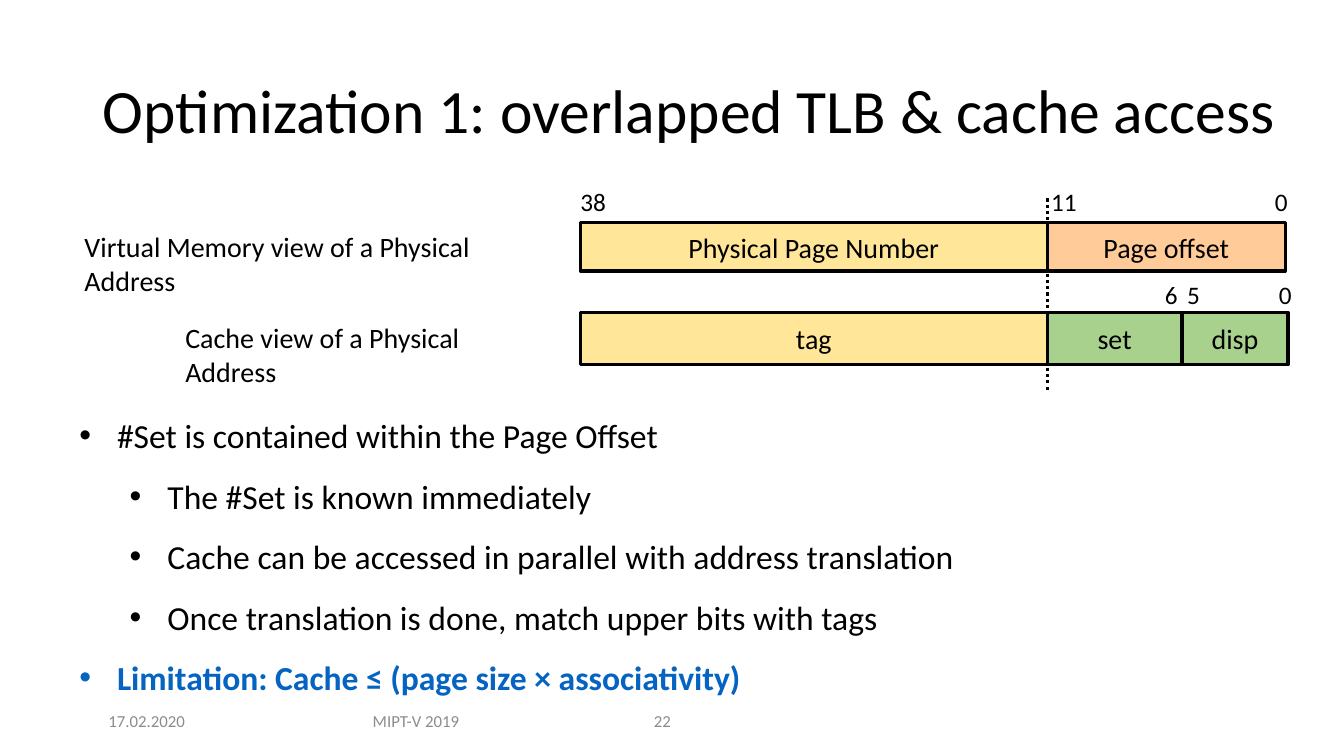
"""Build the slide on overlapped TLB and cache access."""
from dataclasses import dataclass

from lxml import etree
from pptx import Presentation
from pptx import util as u
from pptx.dml.color import RGBColor
from pptx.enum import dml, shapes, text
from pptx.oxml import ns

BLACK = RGBColor(0x00, 0x00, 0x00)
GREY = RGBColor(0x8C, 0x8C, 0x8C)
BLUE = RGBColor(0x05, 0x63, 0xC1)
YELLOW = RGBColor(0xFF, 0xE6, 0x99)
ORANGE = RGBColor(0xFF, 0xCC, 0x99)
GREEN = RGBColor(0xA9, 0xD1, 0x8E)

FONT = "Calibri"
LEFT = text.PP_ALIGN.LEFT
CENTER = text.PP_ALIGN.CENTER
TOP = text.MSO_ANCHOR.TOP
MIDDLE = text.MSO_ANCHOR.MIDDLE

FIELDS_LEFT = 14.63
PAGE_SPLIT = 26.39
SET_RIGHT = 29.79
DIGIT_WIDTH = 0.33
BIT_HEIGHT = 0.76


@dataclass(frozen=True)
class Field:
    name: str
    left: float
    right: float
    color: RGBColor


@dataclass(frozen=True)
class Bit:
    number: str
    left: float


@dataclass(frozen=True)
class AddressView:
    label: str
    label_left: float
    label_top: float
    label_width: float
    top: float
    height: float
    bits_top: float
    fields: tuple[Field, ...]
    bits: tuple[Bit, ...]


@dataclass(frozen=True)
class Bullet:
    words: str
    level: int = 0
    color: RGBColor = BLACK
    bold: bool = False


@dataclass(frozen=True)
class Footer:
    words: str
    left: float
    width: float
    align: text.PP_ALIGN = CENTER


VIEWS = (
    AddressView(
        "Virtual Memory view of a Physical Address", 1.88, 5.66, 12.5, 5.61, 1.22, 4.7,
        (Field("Page offset", PAGE_SPLIT, 32.39, ORANGE),
         Field("Physical Page Number", FIELDS_LEFT, PAGE_SPLIT, YELLOW)),
        (Bit("38", FIELDS_LEFT), Bit("11", 26.49), Bit("0", 32.13)),
    ),
    AddressView(
        "Cache view of a Physical Address", 4.42, 7.95, 9.75, 7.87, 1.32, 7.04,
        (Field("disp", SET_RIGHT, 32.46, GREEN),
         Field("tag", FIELDS_LEFT, PAGE_SPLIT, YELLOW),
         Field("set", PAGE_SPLIT, SET_RIGHT, GREEN)),
        (Bit("6", 29.36), Bit("5", 29.92), Bit("0", 32.23)),
    ),
)

BULLETS = (
    Bullet("#Set is contained within the Page Offset"),
    Bullet("The #Set is known immediately", 1),
    Bullet("Cache can be accessed in parallel with address translation", 1),
    Bullet("Once translation is done, match upper bits with tags", 1),
    Bullet("Limitation: Cache ≤ (page size × associativity)", 0, BLUE, True),
)

FOOTERS = (
    Footer("17.02.2020", 2.34, 2.72),
    Footer("MIPT-V 2019", 8.48, 4.01),
    Footer("22", 16.23, 2.01, LEFT),
)


def set_font(paragraph, size: float, color: RGBColor = BLACK, bold: bool = False) -> None:
    """Set the typeface, size, weight and colour of a paragraph."""
    font = paragraph.font
    font.name, font.size, font.bold = FONT, u.Pt(size), bold
    font.color.rgb = color


def clear_insets(frame) -> None:
    """Remove the inner margins of a text frame."""
    frame.margin_left = frame.margin_right = frame.margin_top = frame.margin_bottom = 0


def add_text(page, words: str, left: float, top: float, width: float, height: float,
             size: float, color: RGBColor = BLACK, align: text.PP_ALIGN = LEFT,
             anchor: text.MSO_ANCHOR = TOP, wrap: bool = True):
    """Add a text box with one paragraph and return its frame."""
    box = page.shapes.add_textbox(u.Cm(left), u.Cm(top), u.Cm(width), u.Cm(height))
    frame = box.text_frame
    frame.word_wrap, frame.vertical_anchor = wrap, anchor
    paragraph = frame.paragraphs[0]
    paragraph.text, paragraph.alignment = words, align
    set_font(paragraph, size, color)
    return frame


def add_title(page, words: str) -> None:
    """Place and format the title placeholder."""
    title = page.shapes.title
    title.left, title.top = u.Cm(2.34), u.Cm(1.02)
    title.width, title.height = u.Cm(31.75), u.Cm(3.68)
    frame = title.text_frame
    frame.text = words
    frame.vertical_anchor, frame.auto_size = MIDDLE, text.MSO_AUTO_SIZE.NONE
    paragraph = frame.paragraphs[0]
    paragraph.alignment, paragraph.line_spacing = LEFT, 0.9
    set_font(paragraph, 44)


def add_bullets(page, bullets: tuple[Bullet, ...]) -> None:
    """Add the bulleted list."""
    box = page.shapes.add_textbox(u.Cm(1.75), u.Cm(9.83), u.Cm(23.09), u.Cm(7.95))
    frame = box.text_frame
    frame.word_wrap = True
    for index, bullet in enumerate(bullets):
        paragraph = frame.add_paragraph() if index else frame.paragraphs[0]
        paragraph.text, paragraph.level = bullet.words, bullet.level
        paragraph.line_spacing = 1.5
        properties = paragraph._p.get_or_add_pPr()
        properties.set("marL", str(u.Cm(0.95 + 1.27 * bullet.level)))
        properties.set("indent", str(-u.Cm(0.95)))
        etree.SubElement(properties, ns.qn("a:buFont"), typeface="Arial")
        etree.SubElement(properties, ns.qn("a:buChar"), char="•")
        set_font(paragraph, 24, bullet.color, bullet.bold)


def add_field(page, field: Field, top: float, height: float) -> None:
    """Add one outlined address field."""
    box = page.shapes.add_shape(shapes.MSO_SHAPE.RECTANGLE, u.Cm(field.left), u.Cm(top),
                                u.Cm(field.right - field.left), u.Cm(height))
    box.shadow.inherit = False
    box.fill.solid()
    box.fill.fore_color.rgb = field.color
    box.line.color.rgb, box.line.width = BLACK, u.Pt(2.25)
    frame = box.text_frame
    clear_insets(frame)
    frame.word_wrap, frame.vertical_anchor = False, MIDDLE
    paragraph = frame.paragraphs[0]
    paragraph.text, paragraph.alignment = field.name, CENTER
    set_font(paragraph, 20)


def add_view(page, view: AddressView) -> None:
    """Add a labelled row of address fields with its bit numbers."""
    add_text(page, view.label, view.label_left, view.label_top, view.label_width, 1.12, 20)
    for field in view.fields:
        add_field(page, field, view.top, view.height)
    for bit in view.bits:
        frame = add_text(page, bit.number, bit.left, view.bits_top,
                         DIGIT_WIDTH * len(bit.number), BIT_HEIGHT, 18, wrap=False)
        clear_insets(frame)


def add_split_line(page) -> None:
    """Add the dotted line at the page boundary."""
    line = page.shapes.add_connector(shapes.MSO_CONNECTOR.STRAIGHT, u.Cm(PAGE_SPLIT), u.Cm(5),
                                     u.Cm(PAGE_SPLIT), u.Cm(9.83))
    line.line.color.rgb, line.line.width = BLACK, u.Pt(2.25)
    line.line.dash_style = dml.MSO_LINE.ROUND_DOT
    etree.SubElement(line._element.spPr, ns.qn("a:effectLst"))


def main() -> None:
    """Build and save the deck."""
    deck = Presentation()
    deck.slide_width, deck.slide_height = u.Cm(33.87), u.Cm(19.05)
    page = deck.slides.add_slide(deck.slide_layouts[5])
    add_title(page, "Optimization 1: overlapped TLB & cache access")
    add_bullets(page, BULLETS)
    for view in VIEWS:
        add_view(page, view)
    add_split_line(page)
    for footer in FOOTERS:
        add_text(page, footer.words, footer.left, 17.65, footer.width, 1.02, 12,
                 GREY, footer.align, MIDDLE)
    deck.save("out.pptx")


if __name__ == "__main__":
    main()
